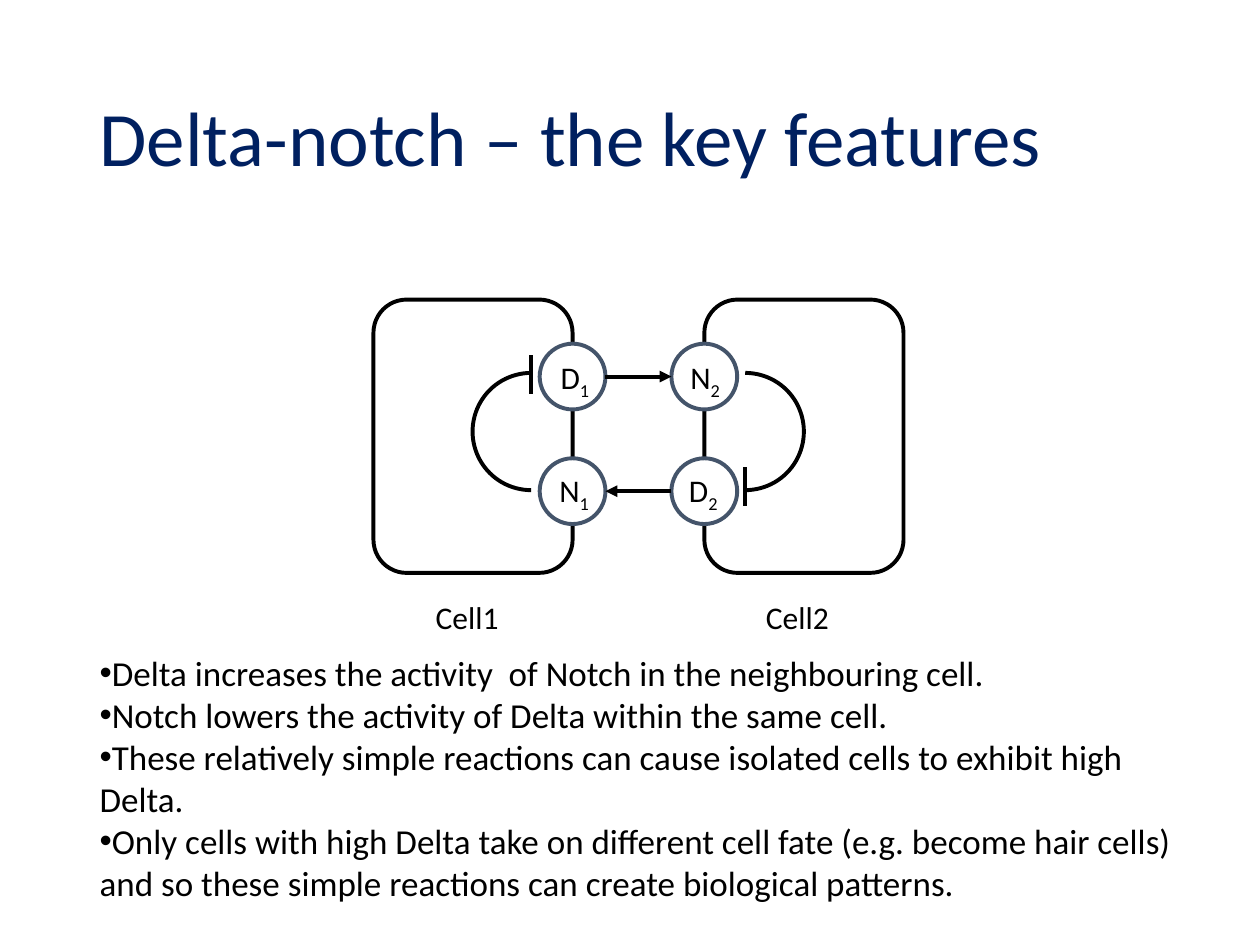
"""Build the Delta-notch key features slide."""
from lxml import etree
from pptx import Presentation
from pptx import util as u
from pptx.dml.color import RGBColor
from pptx.enum import shapes, text
from pptx.oxml.ns import qn

Pt = u.Pt
BLACK, WHITE = RGBColor(0, 0, 0), RGBColor(255, 255, 255)
NAVY, SLATE = RGBColor(0, 0x20, 0x60), RGBColor(0x44, 0x54, 0x6A)
FONT = "Calibri"
TITLE = "Delta-notch – the key features"
POINTS = [
    "Delta increases the activity  of Notch in the neighbouring cell.",
    "Notch lowers the activity of Delta within the same cell.",
    "These relatively simple reactions can cause isolated cells to exhibit high Delta.",
    "Only cells with high Delta take on different cell fate (e.g. become hair cells) "
    "and so these simple reactions can create biological patterns.",
]
WALLS, ROWS = (327.2, 402.5), (215.2, 280.7)
RAD, CELL_W, CELL_H, CELL_Y = 18.8, 113.8, 156.2, 171.2
ARC, ARC_Y = 67, 213.1
CELLS = [(WALLS[0] - CELL_W, "Cell1", 241.9), (WALLS[1], "Cell2", 430.6)]
NODES = [("D", "1", 0, 0, 313.2, 200.9), ("N", "1", 0, 1, 312.5, 265.7),
         ("N", "2", 1, 0, 387.4, 200.9), ("D", "2", 1, 1, 386.6, 265.7)]
LOOPS = [(392.4, 0, 425.5, 267.1), (270, 180, 303.7, 203)]
BAR_H = 22.3
SIGNALS = [(WALLS[0] + RAD, WALLS[1] - RAD, ROWS[0]),
           (WALLS[1] - RAD, WALLS[0] + RAD, ROWS[1])]


def assign(item, vals):
    for name, val in vals.items():
        setattr(item, name, val)


def place(item, *box):
    assign(item, dict(zip(("left", "top", "width", "height"), map(Pt, box))))


def style(run, size, color=BLACK):
    assign(run.font, {"name": FONT, "size": Pt(size)})
    run.font.color.rgb = color


def stroke(item, color=BLACK):
    item.line.width = Pt(2.25)
    item.line.color.rgb = color


def draw(slide, kind, box, color=BLACK, fill=None):
    item = slide.shapes.add_shape(kind, *map(Pt, box))
    item.shadow.inherit = False
    stroke(item, color)
    if fill is None:
        item.fill.background()
    else:
        item.fill.solid()
        item.fill.fore_color.rgb = fill
    return item


def link(slide, ends, arrow=False):
    item = slide.shapes.add_connector(shapes.MSO_CONNECTOR.STRAIGHT, *map(Pt, ends))
    stroke(item)
    if arrow:
        etree.SubElement(item.line._get_or_add_ln(), qn("a:tailEnd"), type="triangle")
    etree.SubElement(item._element.spPr, qn("a:effectLst"))


def label(slide, box, word, sub=""):
    frame = slide.shapes.add_textbox(*map(Pt, box)).text_frame
    frame.word_wrap = True
    para = frame.paragraphs[0]
    for part, base in ((word, 0), (sub, -25000)):
        if part:
            run = para.add_run()
            run.text = part
            style(run, 18)
            if base:
                run.font._element.set("baseline", str(base))


def write(holder, box, lines, size, color, frame_vals, para_vals):
    place(holder, *box)
    frame = holder.text_frame
    frame.text = "\n".join(lines)
    assign(frame, {"word_wrap": True, "auto_size": text.MSO_AUTO_SIZE.NONE, **frame_vals})
    for para in frame.paragraphs:
        assign(para, {"alignment": text.PP_ALIGN.LEFT, **para_vals})
        style(para.runs[0], size, color)


def bullet(para):
    props = para._p.get_or_add_pPr()
    props.set("marL", "0")
    props.set("indent", "0")
    etree.SubElement(props, qn("a:buFont"), typeface="Arial")
    etree.SubElement(props, qn("a:buChar"), char="•")


def main():
    deck = Presentation()
    assign(deck, {"slide_width": Pt(720), "slide_height": Pt(540)})
    slide = deck.slides.add_slide(deck.slide_layouts[1])
    body = slide.placeholders[1]
    write(slide.shapes.title, (49.7, 28.8, 620.6, 104.4), [TITLE], 44, NAVY,
          {"vertical_anchor": text.MSO_ANCHOR.MIDDLE}, {"line_spacing": 0.9})
    write(body, (49.7, 368.6, 649.4, 165), POINTS, 20, BLACK,
          {"vertical_anchor": text.MSO_ANCHOR.TOP},
          {"line_spacing": 1.0, "space_before": Pt(0), "space_after": Pt(0)})
    for para in body.text_frame.paragraphs:
        bullet(para)

    kind = shapes.MSO_SHAPE
    for left, name, name_x in CELLS:
        draw(slide, kind.ROUNDED_RECTANGLE, (left, CELL_Y, CELL_W, CELL_H))
        label(slide, (name_x, 338.4, 56.9, 29), name)
    for word, sub, col, row, left, top in NODES:
        draw(slide, kind.OVAL, (WALLS[col] - RAD, ROWS[row] - RAD, 2 * RAD, 2 * RAD),
             SLATE, WHITE)
        label(slide, (left, top, 32.4, 29), word, sub)
    for left, turn, bar_x, bar_y in LOOPS:
        arc = draw(slide, kind.ARC, (left, ARC_Y, ARC, ARC))
        arc.rotation = turn
        arc.adjustments[0], arc.adjustments[1] = 162, 54.6
        link(slide, (bar_x, bar_y, bar_x, bar_y + BAR_H))
    for start, end, row in SIGNALS:
        link(slide, (start, row, end, row), arrow=True)
    deck.save("out.pptx")


if __name__ == "__main__":
    main()
